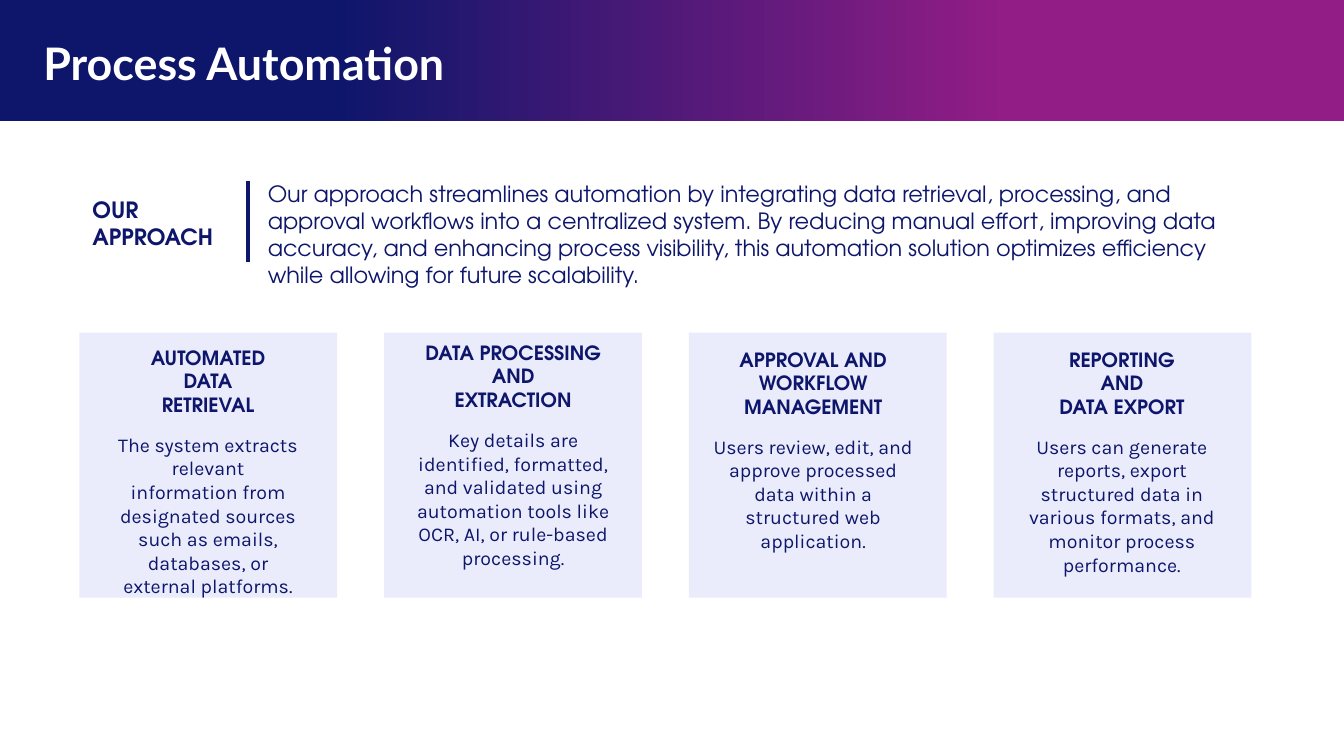
from pptx import Presentation
from pptx.dml.color import RGBColor
from pptx.enum.shapes import MSO_CONNECTOR, MSO_SHAPE
from pptx.enum.text import MSO_ANCHOR, MSO_AUTO_SIZE, PP_ALIGN
from pptx.oxml.ns import qn
from pptx.util import Cm, Pt
from lxml import etree

RECTANGLE, STRAIGHT = MSO_SHAPE.RECTANGLE, MSO_CONNECTOR.STRAIGHT
LEFT, CENTER = PP_ALIGN.LEFT, PP_ALIGN.CENTER
TOP, MIDDLE = MSO_ANCHOR.TOP, MSO_ANCHOR.MIDDLE
NO_AUTOFIT, GROW = MSO_AUTO_SIZE.NONE, MSO_AUTO_SIZE.SHAPE_TO_FIT_TEXT

COLORS = {"navy": "0E166B", "magenta": "921D86", "lavender": "EAECFC", "white": "FFFFFF"}
TITLE_FONT, HEADING_FONT, BODY_FONT = "Lato", "TeX Gyre Adventor", "Karla"
TITLE_ONLY = 5
SLIDE_WIDTH, SLIDE_HEIGHT, BAND_HEIGHT = 33.87, 19.05, 3.05
WIDE_INSET = 0.33
CARD_LEFT, CARD_TOP, CARD_WIDTH, CARD_HEIGHT, CARD_PITCH = 2, 8.38, 6.5, 6.68, 7.68

APPROACH = (
    "Our approach streamlines automation by integrating data retrieval, processing, and "
    "approval workflows into a centralized system. By reducing manual effort, improving data "
    "accuracy, and enhancing process visibility, this automation solution optimizes efficiency "
    "while allowing for future scalability."
)
# Heading lines, body, and the text box (left, top, width, height) within its card
CARDS = [
    (["AUTOMATED", "DATA", "RETRIEVAL"],
     "The system extracts relevant information from designated sources such as emails, "
     "databases, or external platforms.", (0.69, 0.2, 5.11, 6.07)),
    (["DATA PROCESSING AND", "EXTRACTION"],
     "Key details are identified, formatted, and validated using automation tools like "
     "OCR, AI, or rule-based processing.", (0.23, 0.08, 6.05, 5.46)),
    (["APPROVAL AND WORKFLOW MANAGEMENT"],
     "Users review, edit, and approve processed data within a structured web application.",
     (0.33, 0.25, 5.61, 4.88)),
    (["REPORTING", "AND", "DATA EXPORT"],
     "Users can generate reports, export structured data in various formats, and monitor "
     "process performance.", (0.43, 0.25, 5.61, 6.07)),
]


class SlideBuilder:
    def __init__(self, slide):
        self.slide = slide

    def color(self, name):
        return RGBColor.from_string(COLORS[name])

    def format_paragraph(self, paragraph, font, size, bold=False, color="navy", align=LEFT):
        paragraph.alignment = align
        for run in paragraph.runs:
            run.font.name, run.font.size, run.font.bold = font, Pt(size), bold
            run.font.color.rgb = self.color(color)

    def format_frame(self, frame, anchor=TOP, auto_size=NO_AUTOFIT, inset=None):
        frame.word_wrap = True
        frame.auto_size = auto_size
        frame.vertical_anchor = anchor
        if inset is not None:
            frame.margin_left = frame.margin_right = Cm(inset)
            frame.margin_top = frame.margin_bottom = Cm(inset)

    def rectangle(self, shapes, left, top, width, height):
        shape = shapes.add_shape(RECTANGLE, Cm(left), Cm(top), Cm(width), Cm(height))
        shape.shadow.inherit = False
        shape.line.fill.background()
        return shape

    def band(self):
        """Draw the gradient header behind every other element."""
        band = self.rectangle(self.slide.shapes, 0, 0, SLIDE_WIDTH, BAND_HEIGHT)
        band.fill.gradient()
        band.fill.gradient_angle = 0
        stops = [(0.25, "navy"), (0.75, "magenta")]
        for stop, (position, name) in zip(band.fill.gradient_stops, stops):
            stop.position = position
            stop.color.rgb = self.color(name)
        self.slide.shapes.title._element.addprevious(band._element)

    def title(self, text):
        title = self.slide.shapes.title
        title.left, title.top, title.width, title.height = Cm(0), Cm(0.51), Cm(28.85), Cm(2.13)
        title.text_frame.text = text
        self.format_frame(title.text_frame, MIDDLE, inset=WIDE_INSET)
        paragraph = title.text_frame.paragraphs[0]
        self.format_paragraph(paragraph, TITLE_FONT, 32, True, "white")
        properties = paragraph._p.get_or_add_pPr()
        properties.set("marL", str(Cm(0.76)))
        properties.set("indent", "0")

    def text(self, text, left, top, width, height, bold=False, **frame_style):
        box = self.slide.shapes.add_textbox(Cm(left), Cm(top), Cm(width), Cm(height))
        box.text_frame.text = text
        self.format_frame(box.text_frame, **frame_style)
        self.format_paragraph(box.text_frame.paragraphs[0], HEADING_FONT, 16, bold)

    def divider(self, x, top, bottom):
        line = self.slide.shapes.add_connector(STRAIGHT, Cm(x), Cm(top), Cm(x), Cm(bottom))
        line.line.color.rgb = self.color("navy")
        line.line.width = Pt(2.25)
        etree.SubElement(line._element.spPr, qn("a:effectLst"))

    def card(self, card_left, heading, body, text_area):
        shapes = self.slide.shapes.add_group_shape().shapes
        panel = self.rectangle(shapes, card_left, CARD_TOP, CARD_WIDTH, CARD_HEIGHT)
        panel.fill.solid()
        panel.fill.fore_color.rgb = self.color("lavender")

        left, top, width, height = text_area
        box = shapes.add_textbox(Cm(card_left + left), Cm(CARD_TOP + top), Cm(width), Cm(height))
        box.text_frame.text = "\n".join([*heading, body])
        self.format_frame(box.text_frame, auto_size=GROW)
        *heading_paragraphs, body_paragraph = box.text_frame.paragraphs
        for paragraph in heading_paragraphs:
            self.format_paragraph(paragraph, HEADING_FONT, 14, True, align=CENTER)
        heading_paragraphs[-1].space_after = Pt(12)
        self.format_paragraph(body_paragraph, BODY_FONT, 14, align=CENTER)


def main():
    presentation = Presentation()
    presentation.slide_width, presentation.slide_height = Cm(SLIDE_WIDTH), Cm(SLIDE_HEIGHT)
    slide = presentation.slides.add_slide(presentation.slide_layouts[TITLE_ONLY])
    builder = SlideBuilder(slide)
    builder.band()
    builder.title("Process Automation")
    builder.text("OUR APPROACH", 2, 4.62, 4.24, 1.73, bold=True, inset=WIDE_INSET)
    builder.divider(6.25, 4.55, 6.6)
    builder.text(APPROACH, 6.5, 4.42, 25.37, 3, auto_size=GROW)
    for index, (heading, body, text_area) in enumerate(CARDS):
        builder.card(CARD_LEFT + index * CARD_PITCH, heading, body, text_area)
    presentation.save("out.pptx")


if __name__ == "__main__":
    main()
